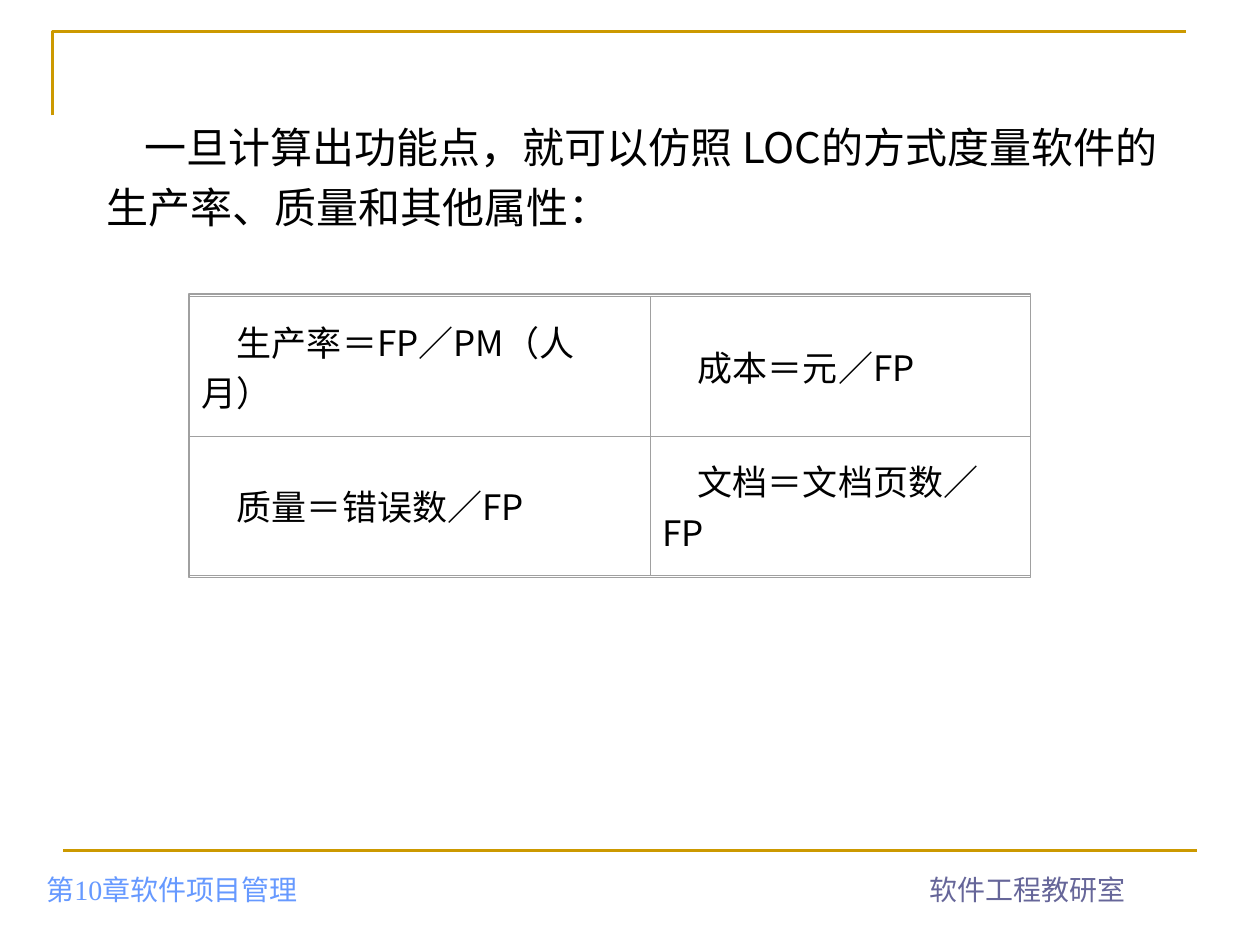
from lxml import etree
from pptx import Presentation, util as u
from pptx.dml.color import RGBColor
from pptx.enum import shapes, text
from pptx.oxml.ns import qn

COLORS = {"gold": "CC9900", "grey": "A0A0A0", "black": "000000",
          "blue": "6699FF", "violet": "666699"}
SANS, SERIF = "Noto Sans CJK SC", "Times New Roman"
WIDTH, HEIGHT = u.Inches(10), u.Inches(7.5)
COLS, ROWS = 120, 90

FORMULAS = [["生产率＝FP／PM（人月）", "成本＝元／FP"],
            ["质量＝错误数／FP", "文档＝文档页数／FP"]]
COL_WIDTHS = [43.9, 36.25]
ROW_HEIGHT = 13.25


def col(n):
    return round(WIDTH * n / COLS)


def row(n):
    return round(HEIGHT * n / ROWS)


def box(x, y, w, h):
    return col(x), row(y), col(w), row(h)


def rgb(name):
    return RGBColor.from_string(COLORS[name])


def apply(obj, values):
    for name, value in values.items():
        setattr(obj, name, value)


def style_line(sp, color, width):
    sp.line.color.rgb = rgb(color)
    sp.line.width = u.Pt(width)


def write(tf, content, size, font, color, indent=0, **para):
    p = tf.paragraphs[0]
    apply(p, para)
    if indent:
        p._p.get_or_add_pPr().set("indent", str(u.Inches(indent)))
    r = p.add_run()
    r.text = content
    apply(r.font, {"size": u.Pt(size), "name": font})
    r.font.color.rgb = rgb(color)
    etree.SubElement(r.font._element, qn("a:ea"), typeface=SANS)


def add_text(s, area, content, size, font, color, anchor, **para):
    tf = s.shapes.add_textbox(*box(*area)).text_frame
    apply(tf, {"word_wrap": True, "vertical_anchor": anchor})
    write(tf, content, size, font, color, **para)


def add_corner(s):
    fb = s.shapes.build_freeform(col(5), row(11))
    fb.add_line_segments([(col(5), row(3)), (col(113), row(3))], close=False)
    sp = fb.convert_to_shape()
    sp.shadow.inherit = False
    sp.fill.background()
    style_line(sp, "gold", 1.5)


def add_rule(s):
    line = s.shapes.add_connector(shapes.MSO_CONNECTOR.STRAIGHT,
                                  col(6), row(81), col(114), row(81))
    style_line(line, "gold", 1.5)
    etree.SubElement(line._element.spPr, qn("a:effectLst"))


def add_frame(s):
    sp = s.shapes.add_shape(shapes.MSO_SHAPE.RECTANGLE,
                            *box(18, 28, sum(COL_WIDTHS), 27))
    sp.shadow.inherit = False
    sp.fill.background()
    style_line(sp, "grey", 0.88)


def set_borders(cell):
    tc_pr = cell._tc.get_or_add_tcPr()
    for side in ("lnL", "lnR", "lnT", "lnB"):
        ln = etree.SubElement(tc_pr, qn(f"a:{side}"), w=str(u.Pt(0.25)))
        fill = etree.SubElement(ln, qn("a:solidFill"))
        etree.SubElement(fill, qn("a:srgbClr"), val=COLORS["grey"])


def add_formulas(s):
    area = box(18, 28.25, sum(COL_WIDTHS), ROW_HEIGHT * len(FORMULAS))
    table = s.shapes.add_table(len(FORMULAS), len(COL_WIDTHS), *area).table
    apply(table, {"first_row": False, "horz_banding": False})
    for column, width in zip(table.columns, COL_WIDTHS):
        column.width = col(width)
    for i, formulas in enumerate(FORMULAS):
        table.rows[i].height = row(ROW_HEIGHT)
        for j, formula in enumerate(formulas):
            cell = table.cell(i, j)
            set_borders(cell)
            cell.fill.background()
            cell.vertical_anchor = text.MSO_ANCHOR.MIDDLE
            write(cell.text_frame, formula, 20, SANS, "black", indent=0.28)


def main():
    prs = Presentation()
    apply(prs, {"slide_width": WIDTH, "slide_height": HEIGHT})
    s = prs.slides.add_slide(prs.slide_layouts[6])
    add_corner(s)
    add_rule(s)
    add_text(s, (3.25, 80.9, 47.25, 6), "第10章软件项目管理", 16, SERIF,
             "blue", text.MSO_ANCHOR.BOTTOM)
    add_text(s, (78.85, 80.9, 38, 6), "软件工程教研室", 16, SERIF,
             "violet", text.MSO_ANCHOR.BOTTOM, alignment=text.PP_ALIGN.CENTER)
    add_text(s, (9, 10, 103, 12.75),
             "一旦计算出功能点，就可以仿照 LOC的方式度量软件的生产率、质量和其他属性：",
             24, SANS, "black", text.MSO_ANCHOR.TOP, indent=0.3,
             line_spacing=1.2, space_before=u.Pt(15))
    add_formulas(s)
    add_frame(s)
    prs.save("out.pptx")


if __name__ == "__main__":
    main()
